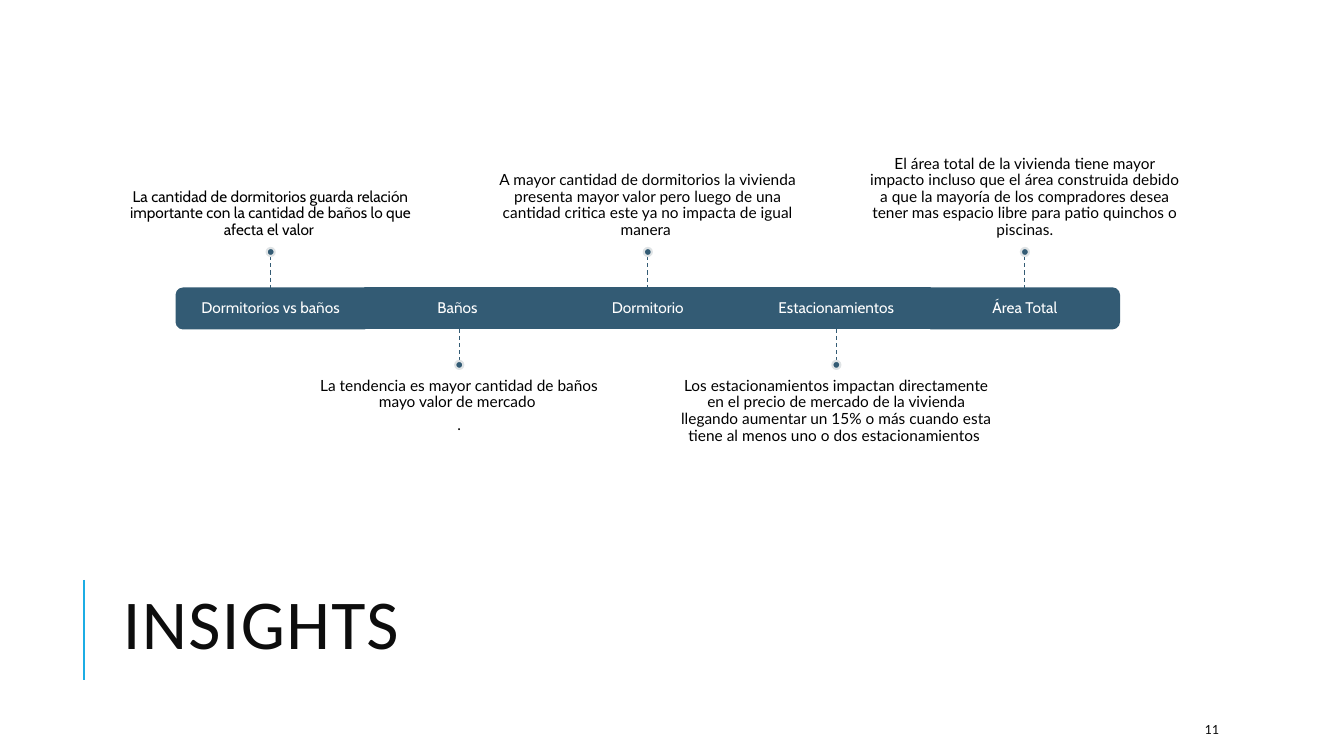
from pptx import Presentation
from pptx.dml.color import RGBColor
from pptx.enum.dml import MSO_LINE
from pptx.enum.shapes import MSO_CONNECTOR, MSO_SHAPE
from pptx.enum.text import MSO_ANCHOR, PP_ALIGN
from pptx.oxml.ns import qn
from pptx.util import Inches, Pt
from lxml import etree

STRAIGHT = MSO_CONNECTOR.STRAIGHT
RECT, OVAL, ROUND_END = MSO_SHAPE.RECTANGLE, MSO_SHAPE.OVAL, MSO_SHAPE.ROUND_2_SAME_RECTANGLE
TOP, MIDDLE, BOTTOM = MSO_ANCHOR.TOP, MSO_ANCHOR.MIDDLE, MSO_ANCHOR.BOTTOM
LEFT, CENTER = PP_ALIGN.LEFT, PP_ALIGN.CENTER
DASH, SOLID = MSO_LINE.DASH, MSO_LINE.SOLID

WIDTH, HEIGHT = 13.33, 7.5
GRID_LEFT, GRID_TOP, COL, ROW = 1.75, 2.86, 1.87, 0.4
DOT = 0.08
CAPTION_COLS, CAPTION_ROWS = 1.67, 3.45

INSIGHTS = [
    ("Dormitorios vs baños", "Cabin",
     ["La cantidad de dormitorios guarda relación importante con la cantidad de baños lo que afecta el valor "]),
    ("Baños ", "Lato",
     ["La tendencia es mayor cantidad de baños mayo valor de mercado ", "."]),
    ("Dormitorio", "Lato",
     ["A mayor cantidad de dormitorios la vivienda presenta mayor valor pero luego de una cantidad "
      "critica este ya no impacta de igual manera "]),
    ("Estacionamientos", "Lato",
     ["Los estacionamientos impactan directamente en el precio de mercado de la vivienda llegando "
      "aumentar un 15% o más cuando esta tiene al menos uno o dos estacionamientos "]),
    ("Área Total", "Lato",
     ["El área total de la vivienda tiene mayor impacto incluso que el área construida debido a que "
      "la mayoría de los compradores desea tener mas espacio libre para patio quinchos o piscinas."]),
]


def rgb(value):
    return RGBColor.from_string(value)


def grid(col, row, cols, rows):
    return GRID_LEFT + col * COL, GRID_TOP + row * ROW, cols * COL, rows * ROW


def share(x, y, w, h):
    return x * WIDTH, y * HEIGHT, w * WIDTH, h * HEIGHT


def write(tf, lines, font="Calibri", size=11, color="000000", align=LEFT,
          leading=1.0, after=0, tracking=0):
    for i, line in enumerate(lines):
        p = tf.paragraphs[0] if i == 0 else tf.add_paragraph()
        p.alignment, p.line_spacing, p.space_after = align, leading, Pt(after)
        r = p.add_run()
        r.text = line
        r.font.name, r.font.size = font, Pt(size)
        r.font.color.rgb = rgb(color)
        if tracking:
            r.font._element.set("spc", str(tracking * 100))


class Deck:
    bar, ring, accent, ink = "335B74", "DFE3E5", "1CADE4", "0D0D0D"

    def __init__(self):
        self.prs = Presentation()
        self.prs.slide_width, self.prs.slide_height = Inches(WIDTH), Inches(HEIGHT)
        self.s = self.prs.slides.add_slide(self.prs.slide_layouts[6])

    def shape(self, kind, box, line, width, rotation=0):
        x, y, w, h = box
        if rotation:
            x, y, w, h = x + (w - h) / 2, y + (h - w) / 2, h, w
        sp = self.s.shapes.add_shape(kind, *map(Inches, (x, y, w, h)))
        sp.rotation = rotation
        sp.shadow.inherit = False
        sp.fill.solid()
        sp.fill.fore_color.rgb = rgb(self.bar)
        sp.line.color.rgb = rgb(line)
        sp.line.width = Pt(width)

    def line(self, box, color, width, dash=SOLID):
        x, y, w, h = box
        c = self.s.shapes.add_connector(STRAIGHT, *map(Inches, (x, y, x + w, y + h)))
        c.line.color.rgb = rgb(color)
        c.line.width, c.line.dash_style = Pt(width), dash
        etree.SubElement(c._element.spPr, qn("a:effectLst"))

    def text(self, box, lines, anchor=MIDDLE, insets=(0.1, 0.05, 0.1, 0.05), **style):
        tf = self.s.shapes.add_textbox(*map(Inches, box)).text_frame
        tf.word_wrap, tf.vertical_anchor = True, anchor
        tf.margin_left, tf.margin_top, tf.margin_right, tf.margin_bottom = map(Inches, insets)
        write(tf, lines, **style)

    def segment(self, i, label):
        box = grid(i, 0, 1, 1)
        rotation = {0: 270, len(INSIGHTS) - 1: 90}.get(i, 0)
        self.shape(ROUND_END if rotation else RECT, box, self.bar, 1.25, rotation)
        self.text(box, [label], insets=(0.09,) * 4, font="Cabin", color="FFFFFF",
                  align=CENTER, leading=0.9, after=4)

    def callout(self, i, font, lines):
        above = i % 2 == 0
        stem, dot, caption = (-0.8, -1, -1 - CAPTION_ROWS) if above else (1, 1.8, 2)
        middle = i + 0.5
        self.text(grid(middle - CAPTION_COLS / 2, caption, CAPTION_COLS, CAPTION_ROWS), lines,
                  anchor=BOTTOM if above else TOP,
                  insets=(0, 0, 0, 0.09) if above else (0, 0.09, 0, 0),
                  font=font, align=CENTER, leading=0.9, after=4)
        self.line(grid(middle, stem, 0, 0.8), self.bar, 0.75, DASH)
        x, y, _, _ = grid(middle, dot, 0, 0)
        self.shape(OVAL, (x - DOT / 2, y, DOT, DOT), self.ring, 1.5)


def main():
    deck = Deck()
    deck.text(share(0.084, 0.723, 0.797, 0.219), ["INSIGHTS"], size=50,
              color=deck.ink, leading=0.8, tracking=1)
    deck.line(share(0.0625, 0.767, 0, 0.133), deck.accent, 1.5)
    deck.text(share(0.889, 0.944, 0.08, 0.04), ["11"], size=10, color=deck.ink, after=6)
    for i, (label, font, lines) in enumerate(INSIGHTS):
        deck.segment(i, label)
        deck.callout(i, font, lines)
    deck.prs.save("out.pptx")


if __name__ == "__main__":
    main()
